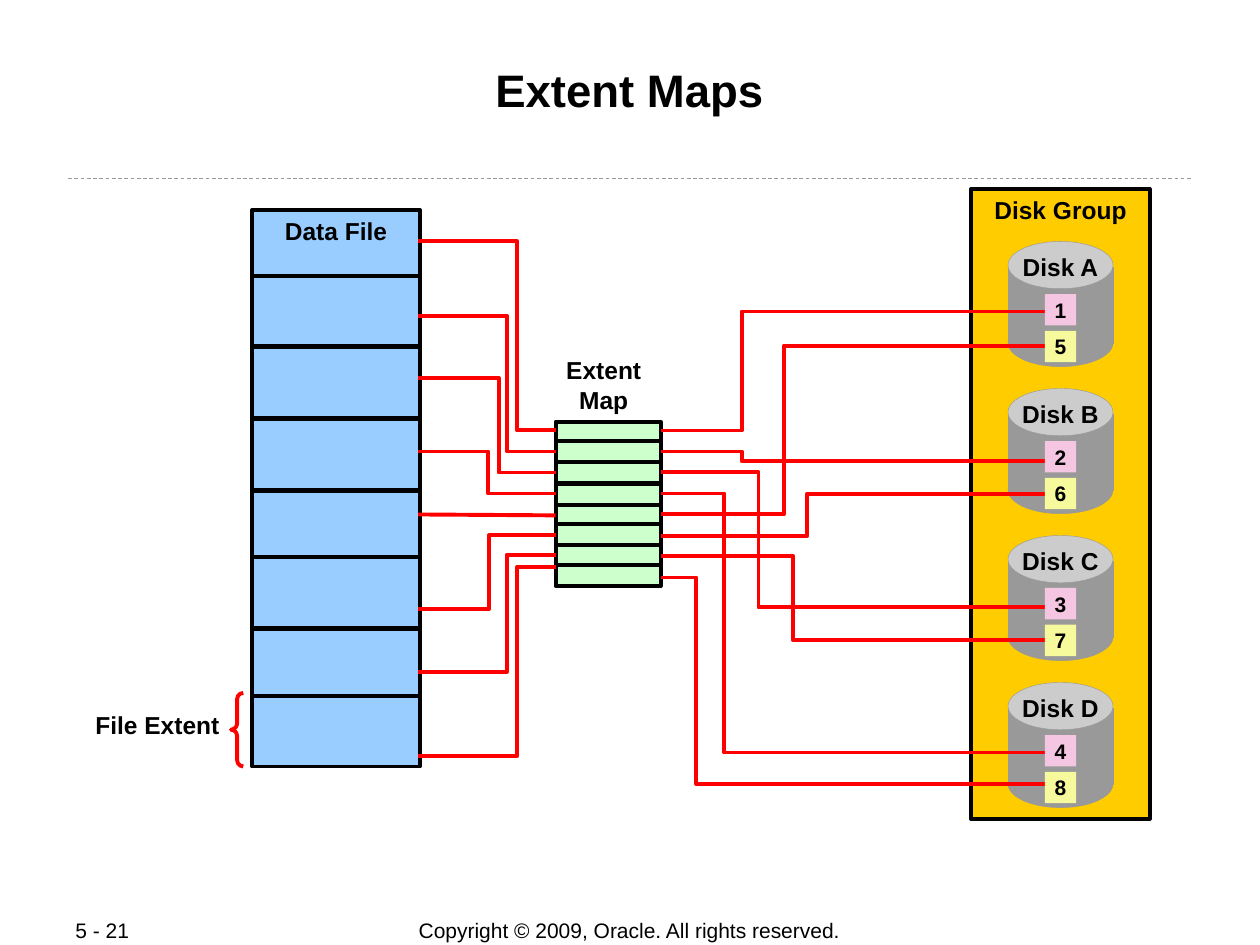
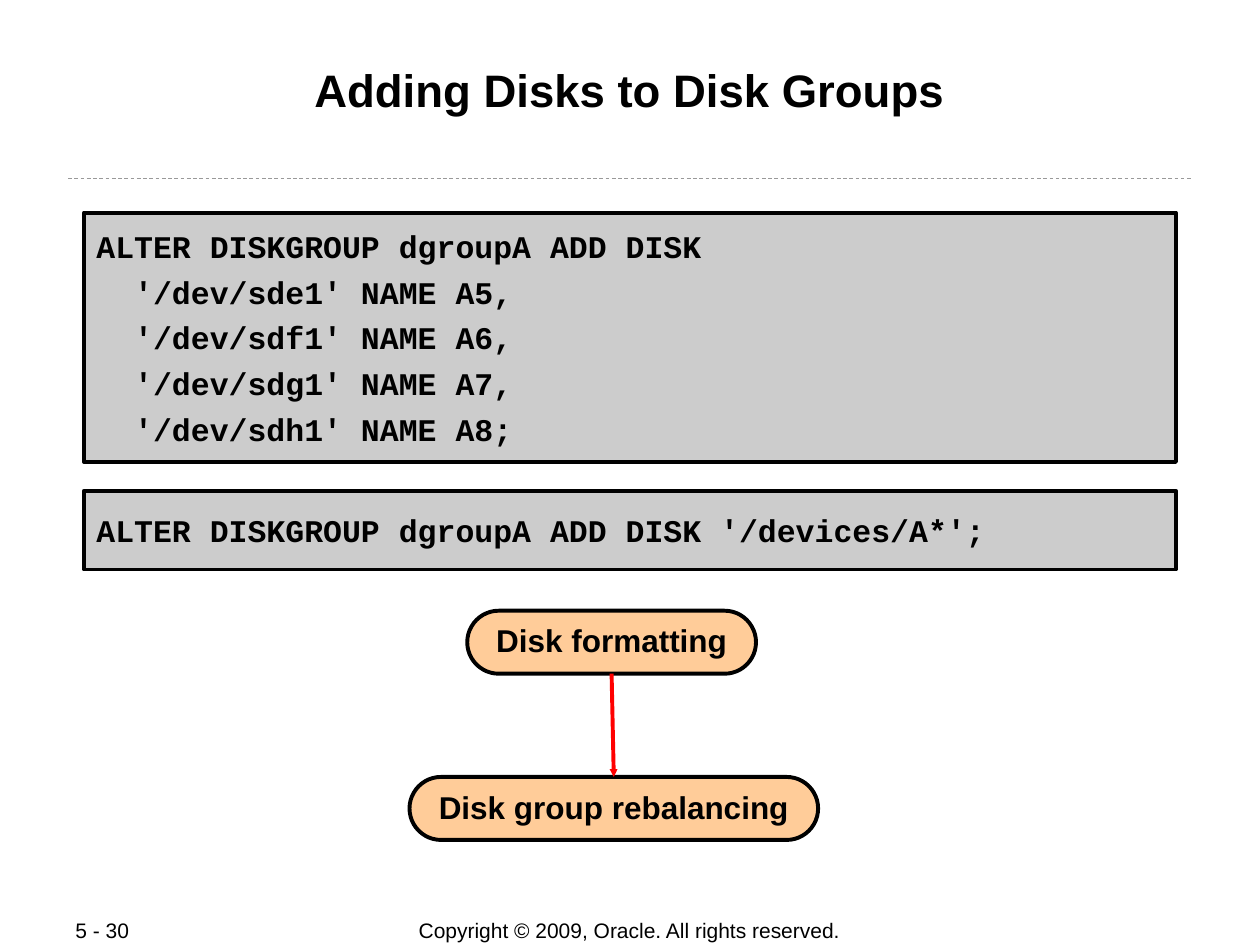
from lxml import etree
from pptx import Presentation
from pptx.dml.color import RGBColor
from pptx.enum.dml import MSO_LINE
from pptx.enum.shapes import MSO_CONNECTOR, MSO_SHAPE
from pptx.enum.text import MSO_ANCHOR, PP_ALIGN
from pptx.oxml.ns import qn
from pptx.util import Pt

RECT, OVAL = MSO_SHAPE.RECTANGLE, MSO_SHAPE.OVAL
PILL, BRACE = MSO_SHAPE.ROUNDED_RECTANGLE, MSO_SHAPE.LEFT_BRACE
LEFT, CENTER = PP_ALIGN.LEFT, PP_ALIGN.CENTER
TOP, MIDDLE = MSO_ANCHOR.TOP, MSO_ANCHOR.MIDDLE
STRAIGHT, DASH = MSO_CONNECTOR.STRAIGHT, MSO_LINE.DASH

COLORS = {
    "black": "000000", "wire": "FF0000", "group": "FFCC00", "disk": "999999",
    "disk_top": "CCCCCC", "map": "CCFFCC", "file": "99CCFF", "code": "CCCCCC",
    "first": "F4C6E1", "second": "F7F99D", "step": "FFCC99", "rule": "999999",
}
COLORS = {name: RGBColor.from_string(value) for name, value in COLORS.items()}
THICK = 2.25


def add_box(s, x, y, w, h, text=None, kind=None, fill=None, line=None,
            weight=THICK, size=14, bold=True, font="Arial", align=CENTER,
            anchor=TOP, margins=(7.2, 3.6), gap=0, spacing=None, wrap=True):
    """Add a shape, or a text box when kind is None, with optional text."""
    frame = Pt(x), Pt(y), Pt(w), Pt(h)
    if kind is None:
        sp = s.shapes.add_textbox(*frame)
    else:
        sp = s.shapes.add_shape(kind, *frame)
        sp.shadow.inherit = False
        for part, color in ((sp.fill, fill), (sp.line.fill, line)):
            if color:
                part.solid()
                part.fore_color.rgb = COLORS[color]
            else:
                part.background()
        if line:
            sp.line.width = Pt(weight)
    if text is None:
        return sp
    tf = sp.text_frame
    tf.word_wrap = wrap
    tf.vertical_anchor = anchor
    tf.margin_left = tf.margin_right = Pt(margins[0])
    tf.margin_top = tf.margin_bottom = Pt(margins[1])
    for i, row in enumerate(text.split("\n")):
        p = tf.paragraphs[0] if i == 0 else tf.add_paragraph()
        p.alignment = align
        if i:
            p.space_before = Pt(gap)
        if spacing:
            p.line_spacing = spacing
        r = p.add_run()
        r.text = row
        r.font.name, r.font.size, r.font.bold = font, Pt(size), bold
        r.font.color.rgb = COLORS["black"]
    return sp


def add_line(s, x1, y1, x2, y2, color, weight):
    cxn = s.shapes.add_connector(STRAIGHT, Pt(x1), Pt(y1), Pt(x2), Pt(y2))
    cxn.line.color.rgb = COLORS[color]
    cxn.line.width = Pt(weight)
    etree.SubElement(cxn._element.spPr, qn("a:effectLst"))
    return cxn


prs = Presentation()
prs.slide_width, prs.slide_height = Pt(720), Pt(540)

# Shared title, rule and footer
slides = []
for title, number in (("Extent Maps", "5 - 21"),
                      ("Adding Disks to Disk Groups", "5 - 30")):
    s = prs.slides.add_slide(prs.slide_layouts[6])
    footer = dict(size=12, bold=False, anchor=MIDDLE, wrap=False)
    add_box(s, 198, 524, 323.5, 15, "Copyright © 2009, Oracle. All rights reserved.",
            **footer)
    add_box(s, 36, 524, 76, 15, number, align=LEFT, **footer)
    add_line(s, 39, 102, 681, 102, "rule", 0.5).line.dash_style = DASH
    add_box(s, 48, 34.5, 623.5, 69, title, size=26, margins=(0.7, 0.7))
    slides.append(s)
s_map, s_add = slides

# Disk group with its four disks
s = s_map
add_box(s, 555, 108, 102, 360, kind=RECT, fill="group", line="black")
add_box(s, 546, 108, 120, 24.5, "Disk Group")
DISK_TOP, DISK_STEP = 138, 84
for i, letter in enumerate("ABCD"):
    y = DISK_TOP + i * DISK_STEP
    for kind, dy, h, fill in ((RECT, 14.5, 43.5, "disk"),
                              (OVAL, 0, 27, "disk_top"),
                              (OVAL, 44.5, 27, "disk")):
        add_box(s, 576, y + dy, 60, h, kind=kind, fill=fill, line="disk", weight=0.25)
    add_box(s, 570, y + 2.4, 72, 24.5, f"Disk {letter}")

# Extent map, file extents and the brace beside the last extent
cells = [add_box(s, 317.5, y, 60, 12, kind=RECT, fill="map", line="black")
         for y in (241, 252, 264, 276.5, 288.5, 299.5, 311.5, 323)]
for y in (120, 157.5, 198.5, 239.5, 280.5, 318.5, 359.5, 397.5):
    add_box(s, 144, y, 96, 40.5, kind=RECT, fill="file", line="black")
brace = add_box(s, 132, 396, 7, 42, kind=BRACE, line="wire")
brace.adjustments[0] = 0.5

# Wires as (start y, bend x, end y): file to map, then map to disks
file_wires = [(138, 295.5, 246), (180.5, 290, 258), (216, 285, 270),
              (258, 279, 282), (348, 279.5, 306), (384, 289.5, 317),
              (432, 295.5, 324)]
disk_wires = [(246, 424, 178), (258, 424, 263.5), (270, 433.5, 347),
              (282, 414, 430), (294, 448, 197.5), (306.5, 461, 282.5),
              (317.5, 453, 365.5), (330, 398, 448)]
for x1, x2, wires in ((239, 317.5, file_wires), (378, 605, disk_wires)):
    for y1, bend, y2 in wires:
        path = s.shapes.build_freeform(Pt(x1), Pt(y1))
        path.add_line_segments([(Pt(bend), Pt(y1)), (Pt(bend), Pt(y2)),
                                (Pt(x2), Pt(y2))], close=False)
        wire = path.convert_to_shape()
        wire.shadow.inherit = False
        wire.fill.background()
        wire.line.color.rgb = COLORS["wire"]
        wire.line.width = Pt(THICK)
add_line(s, 239, 294, 317.5, 294.5, "wire", THICK).end_connect(cells[4], 1)

# Labels
add_box(s, 306, 199.5, 78, 41, "Extent Map")
add_box(s, 132, 120, 120, 24.5, "Data File")
add_box(s, 30, 402, 120, 24.5, "File Extent")

# Numbered extents on the disks
for i in range(4):
    y = DISK_TOP + i * DISK_STEP
    for dy, number, fill in ((30, i + 1, "first"), (51, i + 5, "second")):
        add_box(s, 597, y + dy, 18, 18, str(number), kind=RECT, fill=fill,
                size=12, anchor=MIDDLE, wrap=False)

# Code boxes
s = s_add
add_disks = """ALTER DISKGROUP dgroupA ADD DISK
  '/dev/sde1' NAME A5,
  '/dev/sdf1' NAME A6,
  '/dev/sdg1' NAME A7,
  '/dev/sdh1' NAME A8;"""
add_by_pattern = "ALTER DISKGROUP dgroupA ADD DISK '/devices/A*';"
for y, h, code in ((121.5, 142.5, add_disks), (280.5, 45, add_by_pattern)):
    add_box(s, 48, y, 624, h, code, kind=RECT, fill="code", line="black", size=18,
            font="Courier New", align=LEFT, anchor=MIDDLE, margins=(7.2, 0.7),
            gap=4.5)

# Steps joined by an arrow
steps = []
for x, y, w, text in ((267, 349, 165, "Disk formatting"),
                      (234, 444, 233.5, "Disk group rebalancing")):
    sp = add_box(s, x, y, w, 36, text, kind=PILL, fill="step", line="black",
                 size=18, anchor=MIDDLE, spacing=0.95, wrap=False)
    sp.adjustments[0] = 0.5
    steps.append(sp)
arrow = add_line(s, 349.5, 385, 350.75, 444, "wire", THICK)
arrow.begin_connect(steps[0], 2)
arrow.end_connect(steps[1], 0)
etree.SubElement(arrow.line._get_or_add_ln(), qn("a:tailEnd"), type="triangle",
                 w="sm", len="sm")

prs.save("out.pptx")
